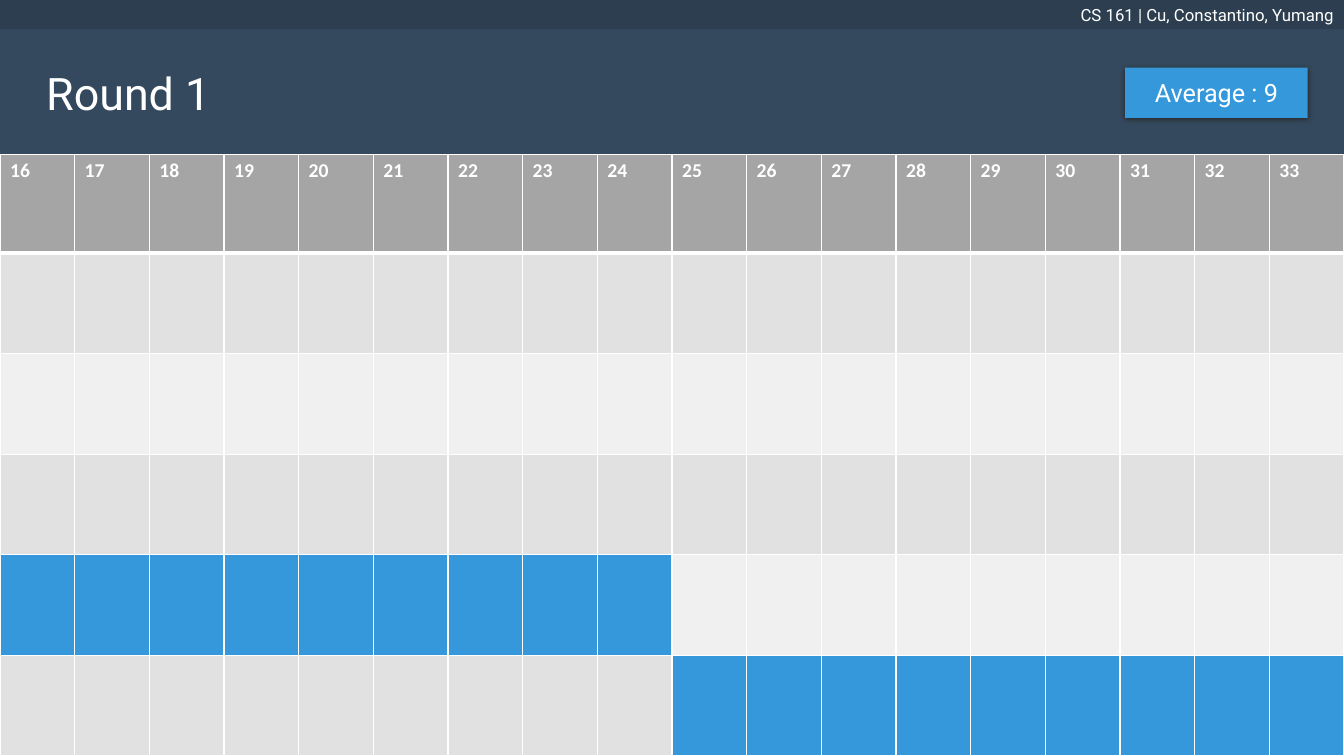
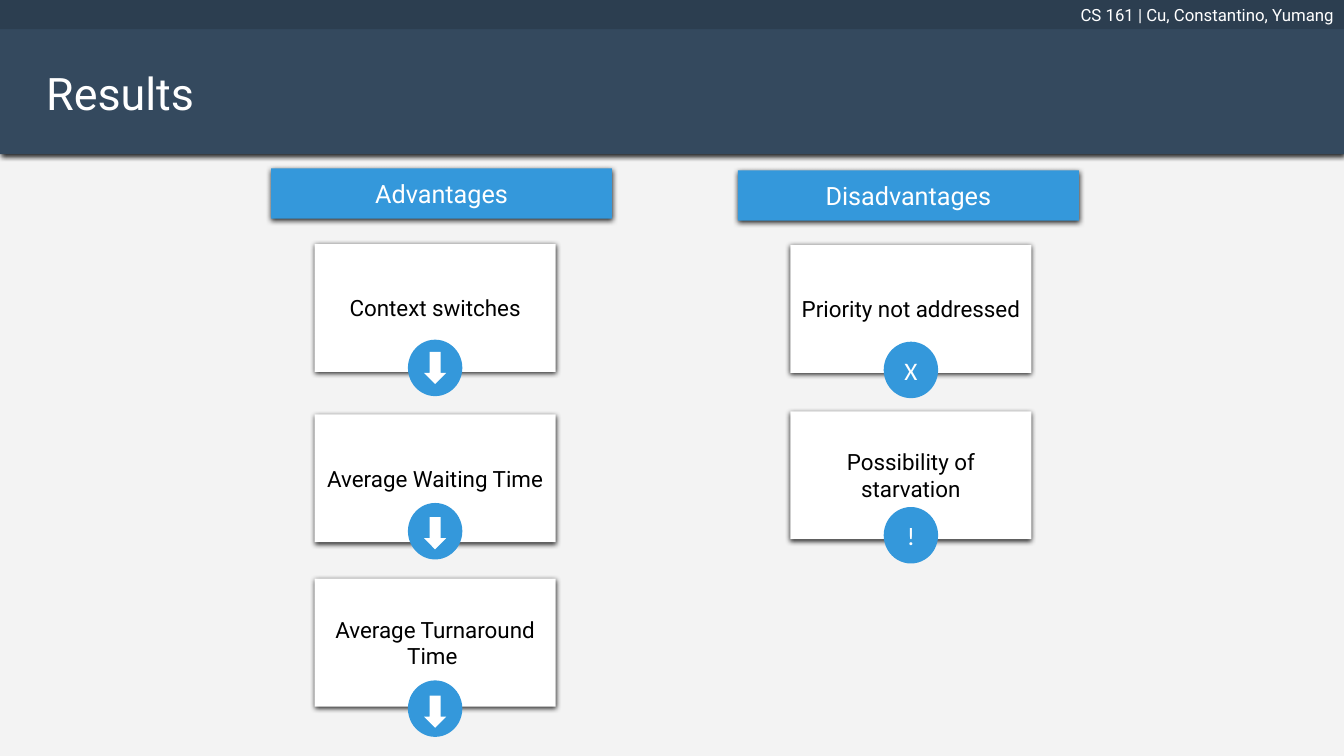
from dataclasses import dataclass
from typing import Optional

from lxml.etree import SubElement
from pptx import Presentation
from pptx.dml.color import RGBColor as Rgb
from pptx.enum.shapes import MSO_SHAPE as Shape
from pptx.enum.text import MSO_ANCHOR as Anchor, MSO_AUTO_SIZE as AutoSize, PP_ALIGN as Align
from pptx.oxml import parse_xml
from pptx.oxml.ns import nsdecls, qn
from pptx.util import Emu, Inches, Pt


@dataclass(frozen=True)
class Theme:
    band: str = "34495E"
    strip: str = "2C3E50"
    accent: str = "3498DB"
    white: str = "FFFFFF"
    black: str = "000000"
    paper: str = "F3F3F3"
    shadow: str = "262626"
    header: str = "A5A5A5"
    odd_row: str = "E1E1E1"
    even_row: str = "F0F0F0"
    text_font: str = "Roboto"
    plain_font: str = "Calibri"
    title_size: int = 32
    label_size: int = 18
    card_size: int = 16
    header_size: int = 14
    strip_size: int = 12


@dataclass(frozen=True)
class Area:
    """Left, top, width and height in percent of the slide's size."""
    left: float
    top: float
    width: float
    height: float

    def emu(self) -> tuple[Emu, Emu, Emu, Emu]:
        return (Emu(int(WIDTH * self.left / 100)), Emu(int(HEIGHT * self.top / 100)),
                Emu(int(WIDTH * self.width / 100)), Emu(int(HEIGHT * self.height / 100)))


@dataclass(frozen=True)
class TextStyle:
    size: int
    color: str
    font: str
    align: Align = Align.CENTER
    bold: bool = False


@dataclass(frozen=True)
class Card:
    text: str
    top: float
    badge_top: float
    mark: str = ""
    arrow_top: Optional[float] = None


@dataclass(frozen=True)
class Column:
    heading: str
    heading_left: float
    heading_top: float
    card_left: float
    cards: tuple[Card, ...]


# Shared look
THEME = Theme()
WIDTH, HEIGHT = Inches(13.33), Inches(7.5)
BAND_HEIGHT, STRIP_HEIGHT = 20.4, 3.87
HEADING_WIDTH, LABEL_HEIGHT = 25.36, 6.67
CARD_WIDTH, CARD_HEIGHT = 17.93, 16.93
BADGE_WIDTH, BADGE_HEIGHT = 4.05, 7.47
ARROW_WIDTH, ARROW_HEIGHT = 1.65, 4.27
FOOTER = "CS 161 | Cu, Constantino, Yumang"

TITLE = TextStyle(THEME.title_size, THEME.white, THEME.text_font, Align.LEFT)
STRIP = TextStyle(THEME.strip_size, THEME.white, THEME.text_font, Align.RIGHT)
LABEL = TextStyle(THEME.label_size, THEME.white, THEME.text_font)
CARD = TextStyle(THEME.card_size, THEME.black, THEME.text_font)
MARK = TextStyle(THEME.label_size, THEME.white, THEME.plain_font)
HEADER = TextStyle(THEME.header_size, THEME.white, THEME.plain_font, Align.LEFT, True)

# Schedule: one column per time unit, busy units by row
TIMES = range(16, 34)
BUSY = {4: range(16, 25), 5: range(25, 34)}
ROWS = 6
HEADER_ROW = Inches(0.98)

COLUMNS = (
    Column("Advantages", 20.18, 22.27, 23.41, (
        Card("Context switches", 32.27, 44.93, arrow_top=46.53),
        Card("Average Waiting Time", 54.8, 66.53, arrow_top=68.4),
        Card("Average Turnaround Time ", 76.53, 90, arrow_top=92))),
    Column("Disadvantages", 54.91, 22.53, 58.81, (
        Card("Priority not addressed", 32.4, 45.2, "X"),
        Card("Possibility of starvation", 54.4, 67.07, "!"))),
)


def write(frame, text: str, style: TextStyle) -> None:
    para = frame.paragraphs[0]
    para.alignment = style.align
    span = para.add_run()
    span.text = text
    span.font.size = Pt(style.size)
    span.font.name = style.font
    span.font.bold = style.bold
    span.font.color.rgb = Rgb.from_string(style.color)


def add_shadow(shape) -> None:
    effects = shape.element.spPr.find(qn("a:effectLst"))
    effects.append(parse_xml(
        f'<a:outerShdw {nsdecls("a")} blurRad="{Pt(4)}" dist="{Pt(1)}" dir="5400000" '
        f'algn="t" rotWithShape="0"><a:srgbClr val="{THEME.shadow}"/></a:outerShdw>'))


def draw_shape(page, kind: Shape, area: Area, fill: str, text: str = "",
               style: TextStyle = LABEL, shadow: bool = False) -> None:
    shape = page.shapes.add_shape(kind, *area.emu())
    shape.shadow.inherit = False
    shape.fill.solid()
    shape.fill.fore_color.rgb = Rgb.from_string(fill)
    shape.line.fill.background()
    if shadow:
        add_shadow(shape)
    if text:
        shape.text_frame.word_wrap = True
        shape.text_frame.vertical_anchor = Anchor.MIDDLE
        write(shape.text_frame, text, style)


def draw_label(page, area: Area, text: str) -> None:
    draw_shape(page, Shape.RECTANGLE, area, THEME.accent, text, LABEL, shadow=True)


def add_page(deck, title: str, background: str):
    page = deck.slides.add_slide(deck.slide_layouts[6])
    page.background.fill.solid()
    page.background.fill.fore_color.rgb = Rgb.from_string(background)
    draw_shape(page, Shape.RECTANGLE, Area(0, 0, 100, BAND_HEIGHT), THEME.band, shadow=True)
    draw_shape(page, Shape.RECTANGLE, Area(0, 0, 100, STRIP_HEIGHT), THEME.strip, FOOTER, STRIP)
    box = page.shapes.add_textbox(*Area(2.7, 8, 37.35, 8.53).emu())
    box.text_frame.word_wrap = True
    box.text_frame.auto_size = AutoSize.SHAPE_TO_FIT_TEXT
    write(box.text_frame, title, TITLE)
    return page


def style_cell(cell, fill: str, top: int, bottom: int) -> None:
    properties = cell._tc.get_or_add_tcPr()
    for side, points in (("L", 1), ("R", 1), ("T", top), ("B", bottom)):
        line = SubElement(properties, qn(f"a:ln{side}"), w=str(Pt(points)))
        SubElement(SubElement(line, qn("a:solidFill")), qn("a:srgbClr"), val=THEME.white)
    cell.fill.solid()
    cell.fill.fore_color.rgb = Rgb.from_string(fill)


def cell_fill(row: int, time: int) -> str:
    if row == 0:
        return THEME.header
    if time in BUSY.get(row, ()):
        return THEME.accent
    return THEME.odd_row if row % 2 else THEME.even_row


def draw_schedule(page) -> None:
    area = Area(0, BAND_HEIGHT, 100, 100 - BAND_HEIGHT).emu()
    table = page.shapes.add_table(ROWS, len(TIMES), *area).table
    table.horz_banding = False
    for column in table.columns:
        column.width = Emu(WIDTH // len(TIMES))
    for row, line in enumerate(table.rows):
        line.height = Emu((area[3] - HEADER_ROW) // (ROWS - 1)) if row else HEADER_ROW
        for time, cell in zip(TIMES, line.cells):
            style_cell(cell, cell_fill(row, time), 3 if row == 1 else 1, 1 if row else 3)
            if row == 0:
                write(cell.text_frame, str(time), HEADER)


def draw_card(page, left: float, card: Card) -> None:
    center = left + CARD_WIDTH / 2
    draw_shape(page, Shape.RECTANGLE, Area(left, card.top, CARD_WIDTH, CARD_HEIGHT),
               THEME.white, card.text, CARD, shadow=True)
    draw_shape(page, Shape.OVAL,
               Area(center - BADGE_WIDTH / 2, card.badge_top, BADGE_WIDTH, BADGE_HEIGHT),
               THEME.accent, card.mark, MARK)
    if card.arrow_top is not None:
        draw_shape(page, Shape.DOWN_ARROW,
                   Area(center - ARROW_WIDTH / 2, card.arrow_top, ARROW_WIDTH, ARROW_HEIGHT),
                   THEME.white)


def main() -> None:
    deck = Presentation()
    deck.slide_width, deck.slide_height = WIDTH, HEIGHT

    # Round 1 schedule
    page = add_page(deck, "Round 1", THEME.white)
    draw_schedule(page)
    draw_label(page, Area(83.72, 8.93, 13.58, LABEL_HEIGHT), "Average : 9")

    # Results
    page = add_page(deck, "Results", THEME.paper)
    for column in COLUMNS:
        draw_label(page, Area(column.heading_left, column.heading_top,
                              HEADING_WIDTH, LABEL_HEIGHT), column.heading)
        for card in column.cards:
            draw_card(page, column.card_left, card)

    deck.save("out.pptx")


if __name__ == "__main__":
    main()
